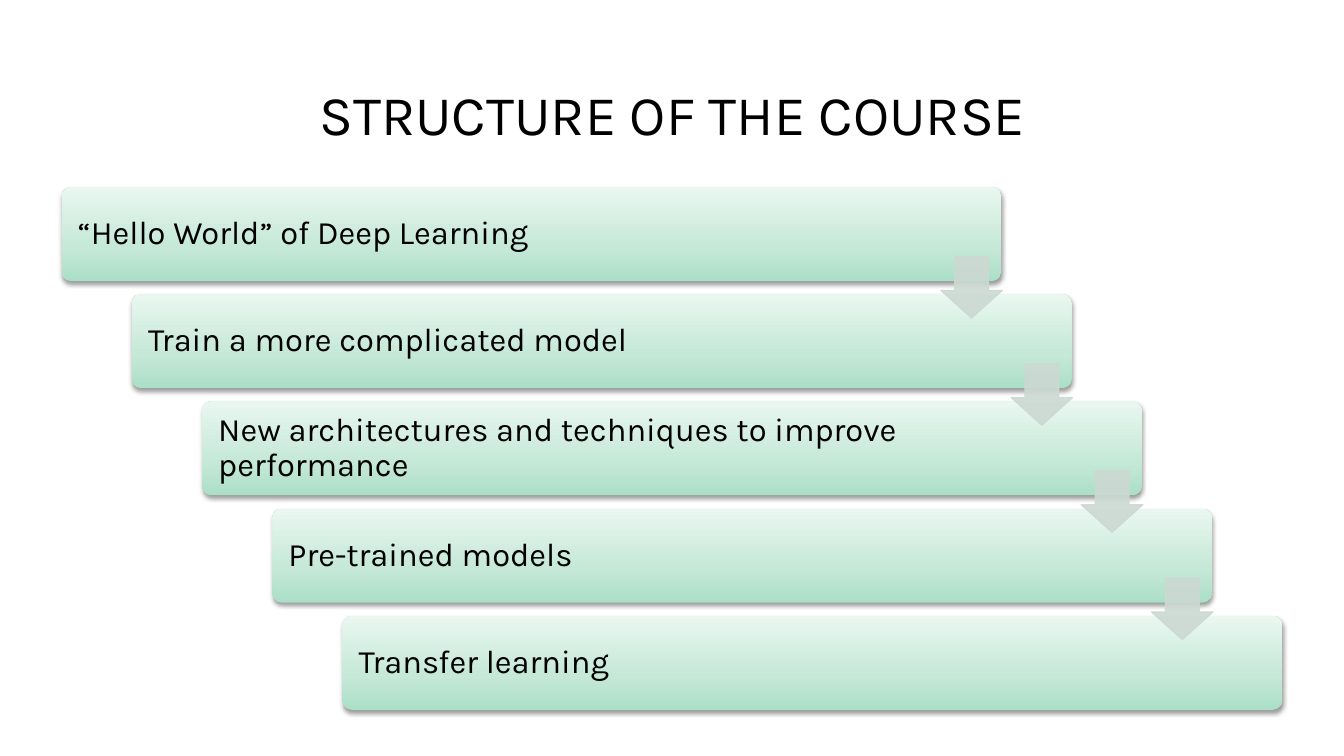
"""Build the course structure slide: a staircase of steps joined by arrows."""
from copy import deepcopy

from pptx import Presentation
from pptx import util as u
from pptx.dml.color import RGBColor
from pptx.enum import shapes, text
from pptx.oxml import parse_xml
from pptx.oxml.ns import nsdecls, qn

BLACK = RGBColor(0x00, 0x00, 0x00)
GREY = RGBColor(0xCC, 0xD9, 0xD3)
GREENS = [
    (0, RGBColor(0xAB, 0xDF, 0xC7)),
    (0.35, RGBColor(0xC5, 0xE8, 0xD7)),
    (1, RGBColor(0xE9, 0xF7, 0xF0)),
]
SHADE = (
    f'<a:outerShdw {nsdecls("a")} blurRad="40000" dist="20000" dir="5400000" rotWithShape="0">'
    '<a:srgbClr val="000000"><a:alpha val="38000"/></a:srgbClr></a:outerShdw>'
)
ALPHA = f'<a:alpha {nsdecls("a")} val="90000"/>'
STEPS = [
    "“Hello World” of Deep Learning",
    "Train a more complicated model",
    "New architectures and techniques to improve performance",
    "Pre-trained models",
    "Transfer learning",
]
LEFT, TOP = 0.55, 1.67
WIDTH, HEIGHT = 8.39, 0.84
DX, DY = 0.627, 0.957
ARROW = 0.55


def write(frame, words, size):
    frame.text = words
    frame.word_wrap = True
    para = frame.paragraphs[0]
    para.line_spacing = 0.9
    font = para.runs[0].font
    font.name = "Karla"
    font.size = u.Pt(size)
    font.color.rgb = BLACK
    return para


deck = Presentation()
deck.slide_width = u.Inches(12)
deck.slide_height = u.Inches(6.75)
slide = deck.slides.add_slide(deck.slide_layouts[5])

title = slide.shapes.title
title.left, title.top = u.Inches(0.55), u.Inches(0.72)
title.width, title.height = u.Inches(10.91), u.Inches(0.65)
para = write(title.text_frame, "STRUCTURE OF THE COURSE", 36)
para.alignment = text.PP_ALIGN.CENTER
title.text_frame.vertical_anchor = text.MSO_ANCHOR.BOTTOM

for i, words in enumerate(STEPS):
    step = slide.shapes.add_shape(
        shapes.MSO_SHAPE.ROUNDED_RECTANGLE,
        u.Inches(LEFT + i * DX), u.Inches(TOP + i * DY),
        u.Inches(WIDTH), u.Inches(HEIGHT),
    )
    step.adjustments[0] = 0.1
    step.line.fill.background()
    step.fill.gradient()
    step.fill.gradient_angle = 90
    stops = step._element.spPr.find(".//" + qn("a:gsLst"))
    stops.insert(1, deepcopy(stops[0]))
    for stop, (place, green) in zip(step.fill.gradient_stops, GREENS):
        stop.position = place
        stop.color.rgb = green
    step.shadow.inherit = False
    step._element.spPr.find(qn("a:effectLst")).append(parse_xml(SHADE))

    frame = step.text_frame
    para = write(frame, words, 21)
    para.alignment = text.PP_ALIGN.LEFT
    frame.vertical_anchor = text.MSO_ANCHOR.MIDDLE
    frame.margin_left, frame.margin_right = u.Inches(0.12), u.Inches(1.28)
    frame.margin_top = frame.margin_bottom = u.Inches(0.09)

for i in range(len(STEPS) - 1):
    arrow = slide.shapes.add_shape(
        shapes.MSO_SHAPE.DOWN_ARROW,
        u.Inches(LEFT + WIDTH - ARROW + 0.01 + i * DX), u.Inches(2.29 + i * DY),
        u.Inches(ARROW), u.Inches(ARROW),
    )
    arrow.adjustments[0] = 0.55
    arrow.adjustments[1] = 0.45
    arrow.shadow.inherit = False
    arrow.line.width = u.Pt(0.75)
    for fill in (arrow.fill, arrow.line.fill):
        fill.solid()
        fill.fore_color.rgb = GREY
    for tint in arrow._element.spPr.iter(qn("a:srgbClr")):
        tint.append(parse_xml(ALPHA))

deck.save("out.pptx")
